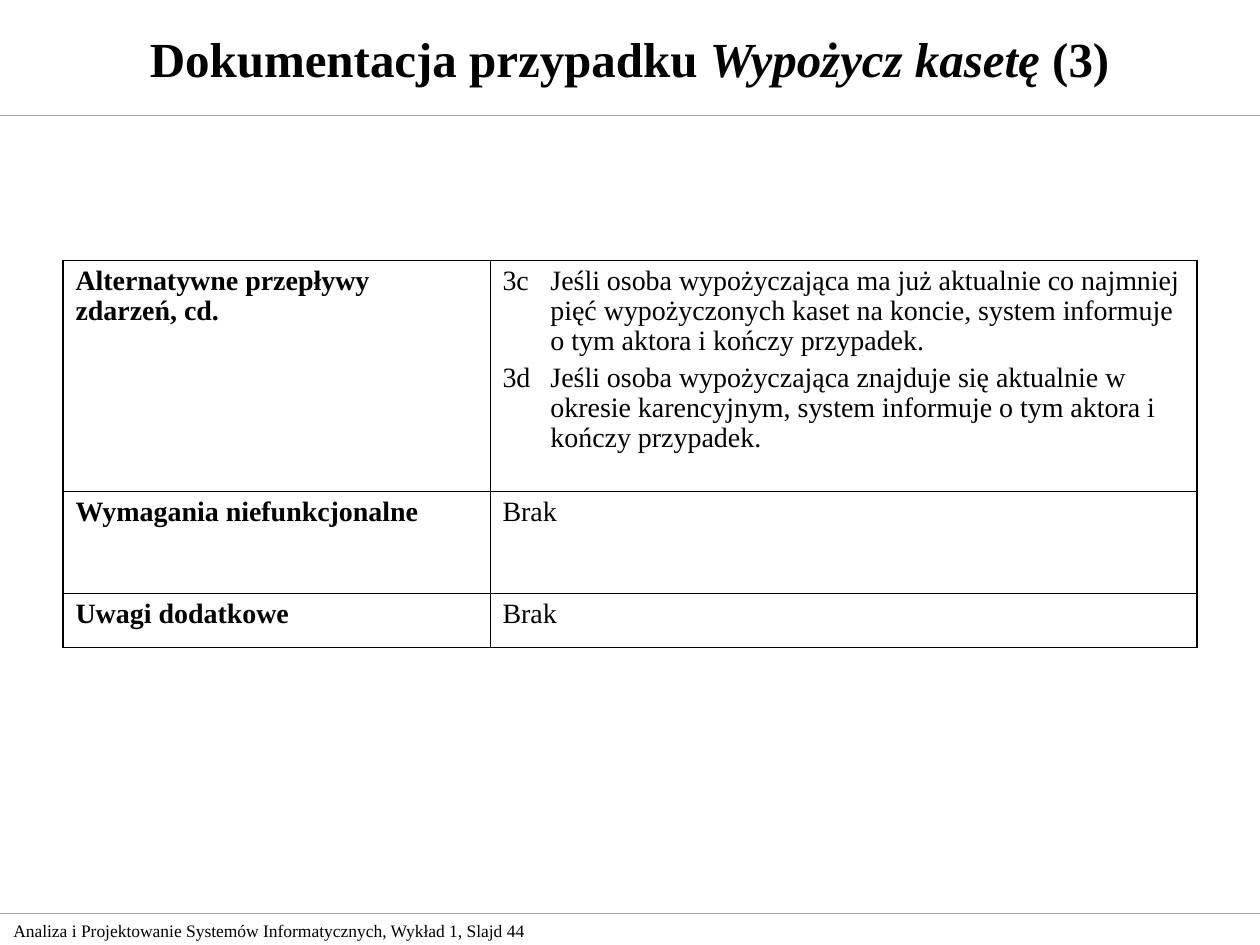
from lxml import etree
from pptx import Presentation
from pptx.dml.color import RGBColor
from pptx.enum.shapes import MSO_CONNECTOR
from pptx.enum.text import MSO_ANCHOR, PP_ALIGN
from pptx.oxml.ns import qn
from pptx.util import Pt

STRAIGHT = MSO_CONNECTOR.STRAIGHT
MIDDLE = MSO_ANCHOR.MIDDLE
LEFT, CENTER = PP_ALIGN.LEFT, PP_ALIGN.CENTER

FONT, BLACK, ORANGE = "Times New Roman", "000000", "FF9900"
TITLE = [
    ("Dokumentacja przypadku ", {"bold": True}),
    ("Wypożycz kasetę ", {"bold": True, "italic": True}),
    ("(3)", {"bold": True}),
]
FOOTER = [("Analiza i Projektowanie Systemów Informatycznych, Wykład 1, Slajd 44", {})]
ROWS = [
    (["Alternatywne przepływy", "zdarzeń, cd."], [
        "3c\tJeśli osoba wypożyczająca ma już aktualnie co najmniej pięć wypożyczonych "
        "kaset na koncie, system informuje o tym aktora i kończy przypadek.",
        "3d\tJeśli osoba wypożyczająca znajduje się aktualnie w okresie karencyjnym, "
        "system informuje o tym aktora i kończy przypadek.",
    ]),
    (["Wymagania niefunkcjonalne"], ["Brak"]),
    (["Uwagi dodatkowe"], ["Brak"]),
]
COL_WIDTHS = [244, 404]
ROW_HEIGHTS = [132, 58, 31]
TABLE_LEFT, TABLE_TOP = 36, 149
RULES = [66, 522]
INDENT, PARA_GAP, LINE_SPACING = 27.36, 4, 0.96
INNER, OUTER = 0.45, 0.96


def rgb(value):
    return RGBColor.from_string(value)


def add_run(p, text, size, **fmt):
    r = p.add_run()
    r.text = text
    r.font.color.rgb = rgb(BLACK)
    for name, value in {"name": FONT, "size": Pt(size), **fmt}.items():
        setattr(r.font, name, value)


def add_text(s, box, runs, size, align):
    tf = s.shapes.add_textbox(*map(Pt, box)).text_frame
    tf.word_wrap = True
    tf.vertical_anchor = MIDDLE
    p = tf.paragraphs[0]
    p.alignment = align
    for text, fmt in runs:
        add_run(p, text, size, **fmt)


def add_rule(s, y):
    line = s.shapes.add_connector(STRAIGHT, Pt(0), Pt(y), Pt(720), Pt(y))
    line.line.color.rgb = rgb(ORANGE)
    line.line.width = Pt(0.75)
    etree.SubElement(line.element.spPr, qn("a:effectLst"))


def set_borders(cell, widths):
    tc_pr = cell._tc.get_or_add_tcPr()
    for side, width in widths.items():
        ln = etree.SubElement(tc_pr, qn(f"a:ln{side}"), w=str(int(Pt(width))))
        fill = etree.SubElement(ln, qn("a:solidFill"))
        etree.SubElement(fill, qn("a:srgbClr"), val=BLACK)


def fill_cell(cell, lines, bold, gap):
    tf = cell.text_frame
    for i, text in enumerate(lines):
        p = tf.add_paragraph() if i else tf.paragraphs[0]
        p_pr = p._p.get_or_add_pPr()
        p_pr.set("marL", str(int(Pt(INDENT))))
        p_pr.set("indent", str(-int(Pt(INDENT))))
        p.line_spacing = LINE_SPACING
        if i and gap:
            p.space_before = Pt(gap)
        add_run(p, text, 16, bold=bold)


def add_use_case_table(s):
    size = sum(COL_WIDTHS), sum(ROW_HEIGHTS)
    table = s.shapes.add_table(len(ROWS), len(COL_WIDTHS),
                               *map(Pt, (TABLE_LEFT, TABLE_TOP, *size))).table
    table.first_row = table.horz_banding = False
    for col, width in zip(table.columns, COL_WIDTHS):
        col.width = Pt(width)
    for row, height in zip(table.rows, ROW_HEIGHTS):
        row.height = Pt(height)
    for i, row in enumerate(ROWS):
        for j, lines in enumerate(row):
            cell = table.cell(i, j)
            fill_cell(cell, lines, bold=j == 0, gap=PARA_GAP * j)
            set_borders(cell, {
                "L": OUTER if j == 0 else INNER,
                "R": OUTER if j == len(row) - 1 else INNER,
                "T": INNER,
                "B": OUTER if i == len(ROWS) - 1 else INNER,
            })
            cell.fill.background()


def main():
    prs = Presentation()
    prs.slide_width, prs.slide_height = Pt(720), Pt(540)
    s = prs.slides.add_slide(prs.slide_layouts[6])
    add_text(s, (0.5, 522, 342, 19.5), FOOTER, 10, LEFT)
    for y in RULES:
        add_rule(s, y)
    add_text(s, (0, 0, 719.5, 66), TITLE, 28, CENTER)
    add_use_case_table(s)
    prs.save("out.pptx")


if __name__ == "__main__":
    main()
